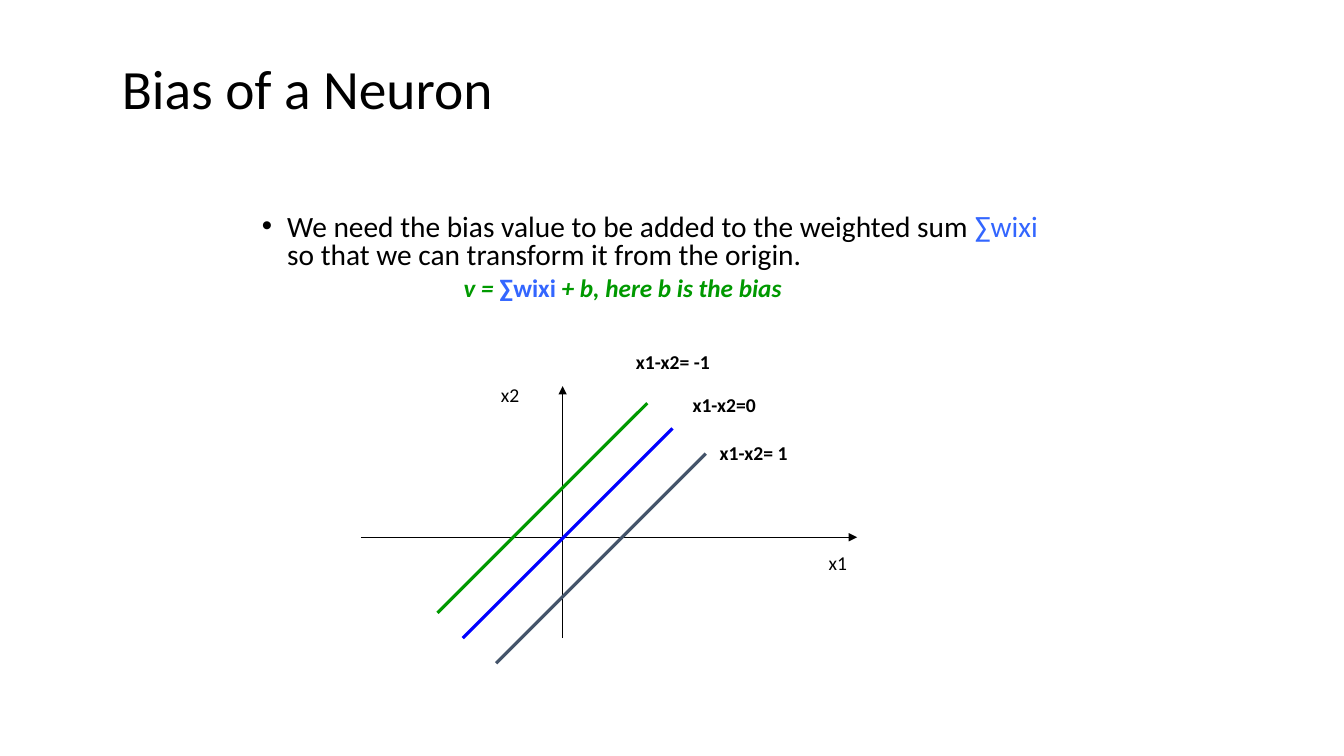
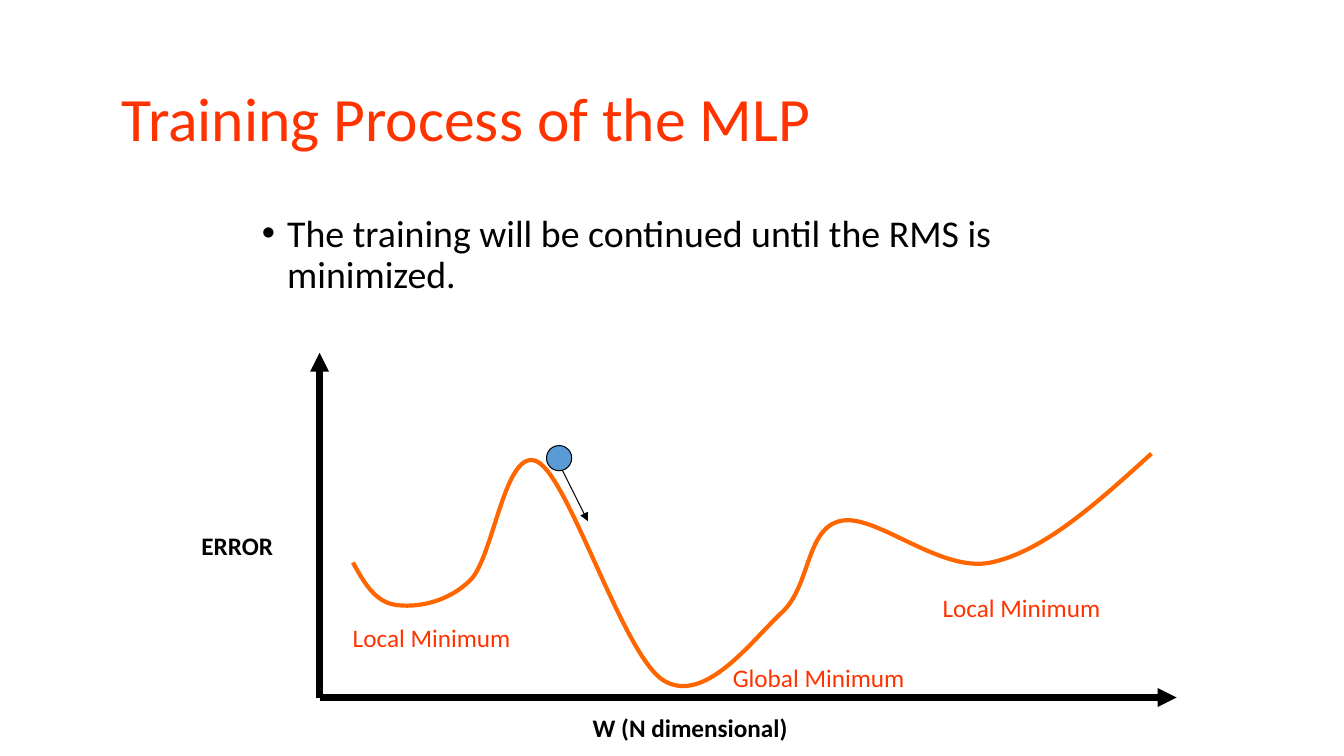
from dataclasses import dataclass

from lxml import etree
from pptx import Presentation
from pptx import util as u
from pptx.dml import color as dml
from pptx.enum import shapes, text
from pptx.oxml import ns


@dataclass(frozen=True)
class Theme:
    face: str = "Calibri"
    ink: str = "000000"
    red: str = "FF3300"
    green: str = "009900"
    blue: str = "0000FF"
    sky: str = "3366FF"
    slate: str = "44546A"
    ball: str = "5B9BD5"
    curve: str = "FF6600"
    small: float = 14
    label: float = 18
    lead: float = 21
    body: float = 27
    head: float = 39.6
    big: float = 44
    thin: float = 0.75
    mid: float = 2.25
    bold: float = 3
    thick: float = 4.5


T = Theme()
PX = 9144
TITLE = (111, 58, 1122, 125)
INDENT = 25


def px(*nums):
    return [u.Emu(n * PX) for n in nums]


def apply(item, form):
    for key, val in form.items():
        setattr(item, key, val)


def add(node, tag, **attrs):
    part = etree.SubElement(node, ns.qn(tag))
    for key, val in attrs.items():
        part.set(key, str(val))
    return part


def stroke(line, tint, width):
    line.color.rgb = dml.RGBColor.from_string(tint)
    line.width = u.Pt(width)


def write(par, words, size, tint=T.ink, **form):
    run = par.add_run()
    run.text = words
    apply(run.font, {"name": T.face, "size": u.Pt(size), **form})
    run.font.color.rgb = dml.RGBColor.from_string(tint)


def frame(slide, box, anchor=text.MSO_ANCHOR.TOP):
    tf = slide.shapes.add_textbox(*px(*box)).text_frame
    side, edge = px(10, 5)
    apply(tf, {
        "word_wrap": True, "vertical_anchor": anchor,
        "margin_left": side, "margin_right": side,
        "margin_top": edge, "margin_bottom": edge,
    })
    return tf


def title(slide, box, words, size, tint):
    par = frame(slide, box, text.MSO_ANCHOR.MIDDLE).paragraphs[0]
    par.line_spacing = 0.9
    write(par, words, size, tint)


def bullet(slide, box, runs, size, space):
    tf = frame(slide, box)
    par = tf.paragraphs[0]
    props = par._p.get_or_add_pPr()
    props.set("marL", str(INDENT * PX))
    props.set("indent", str(-INDENT * PX))
    add(props, "a:buFont", typeface="Arial")
    add(props, "a:buChar", char="•")
    par.line_spacing = space
    for words, tint in runs:
        write(par, words, size, tint)
    return tf


def label(slide, box, words, size, tint=T.ink, bold=False):
    write(frame(slide, box).paragraphs[0], words, size, tint, bold=bold)


def line(slide, ends, tint, width, arrow=False):
    link = slide.shapes.add_connector(shapes.MSO_CONNECTOR.STRAIGHT, *px(*ends))
    stroke(link.line, tint, width)
    if arrow:
        add(link.line._get_or_add_ln(), "a:tailEnd", type="triangle")
    add(link._element.spPr, "a:effectLst")


def axes(slide, rise, run, width):
    for ends in (rise, run):
        line(slide, ends, T.ink, width, arrow=True)


def curve(slide, points):
    pen = slide.shapes.build_freeform(*points[0], scale=PX)
    pen.add_line_segments(points[1:], close=False)
    shape = pen.convert_to_shape()
    shape.shadow.inherit = False
    shape.fill.background()
    stroke(shape.line, T.curve, T.bold)
    track = shape._element.spPr.find(".//" + ns.qn("a:path"))
    steps = track.findall(ns.qn("a:lnTo"))
    for i in range(0, len(steps), 3):
        bend = add(track, "a:cubicBezTo")
        for step in steps[i:i + 3]:
            bend.append(step[0])
            track.remove(step)


def ball(slide, box):
    shape = slide.shapes.add_shape(shapes.MSO_SHAPE.OVAL, *px(*box))
    shape.shadow.inherit = False
    shape.fill.solid()
    shape.fill.fore_color.rgb = dml.RGBColor.from_string(T.ball)
    stroke(shape.line, T.ink, T.thin)


def graph(slide, x, y):
    axes(slide, (x + 200, y + 291, x + 200, y + 41),
         (x, y + 191, x + 492, y + 191), T.thin)
    span = 208
    for dx, dy, tint in ((284, 58, T.green), (309, 83, T.blue), (342, 108, T.slate)):
        line(slide, (x + dx, y + dy, x + dx - span, y + dy + span), tint, T.mid)
    for dx, dy, width, words, bold in (
        (319, 43, 92, "x1-x2=0", True),
        (346, 91, 100, "x1-x2= 1", True),
        (454, 200, 48, "x1", False),
        (129, 33, 52, "x2", False),
        (263, 0, 114, "x1-x2= -1", True),
    ):
        label(slide, (x + dx, y + dy, width, 34), words, T.small, bold=bold)


def valley(slide, x, y):
    knots = (
        (160, 208), (171, 228), (182, 247), (202, 250),
        (221, 253), (253, 249), (277, 225),
        (300, 201), (311, 92), (343, 108),
        (375, 125), (428, 300), (468, 325),
        (509, 350), (556, 285), (585, 258),
        (614, 232), (609, 175), (643, 167),
        (678, 158), (742, 219), (793, 208),
        (845, 197), (898, 149), (952, 100),
    )
    curve(slide, [(x + dx, y + dy) for dx, dy in knots])
    ball(slide, (x + 352, y + 92, 25, 25))
    line(slide, (x + 368, y + 117, x + 393, y + 167), T.ink, T.thin, arrow=True)
    left, base = x + 127, y + 342
    axes(slide, (left, base, left, y), (left, base, x + 977, base), T.thick)
    for dx, dy, width, words, tint, bold in (
        (527, 302, 196, "Global Minimum", T.red, False),
        (735, 233, 182, "Local Minimum", T.red, False),
        (150, 262, 182, "Local Minimum", T.red, False),
        (0, 171, 96, "ERROR", T.ink, True),
        (388, 352, 219, "W (N dimensional)", T.ink, True),
    ):
        label(slide, (x + dx, y + dy, width, 40), words, T.label, tint, bold)


def bias(slide):
    x, y, w, h = TITLE
    title(slide, (x, y - 30, w, h), "Bias of a Neuron", T.head, T.ink)
    tf = bullet(slide, (250, 208, 792, 100), (
        ("We need the bias value to be added to the weighted sum ", T.ink),
        ("∑wixi ", T.sky),
        ("so that we can transform it from the origin.", T.ink),
    ), T.lead, 0.8)
    par = tf.add_paragraph()
    par._p.get_or_add_pPr().set("marL", str(200 * PX))
    apply(par, {"line_spacing": 0.8, "space_before": u.Pt(5)})
    for words, tint, slant in (
        ("v = ", T.green, True),
        ("∑wixi", T.sky, False),
        (" + b, here b is the bias", T.green, True),
    ):
        write(par, words, T.label, tint, bold=True, italic=slant)
    graph(slide, 358, 342)


def train(slide):
    title(slide, TITLE, "Training Process of the MLP", T.big, T.red)
    bullet(slide, (250, 208, 842, 100), (
        ("The training will be continued until the RMS is minimized.", T.ink),
    ), T.body, 0.9)
    valley(slide, 190, 350)


def main():
    deck = Presentation()
    deck.slide_width, deck.slide_height = px(1333, 750)
    for build in (bias, train):
        build(deck.slides.add_slide(deck.slide_layouts[6]))
    deck.save("out.pptx")


if __name__ == "__main__":
    main()
